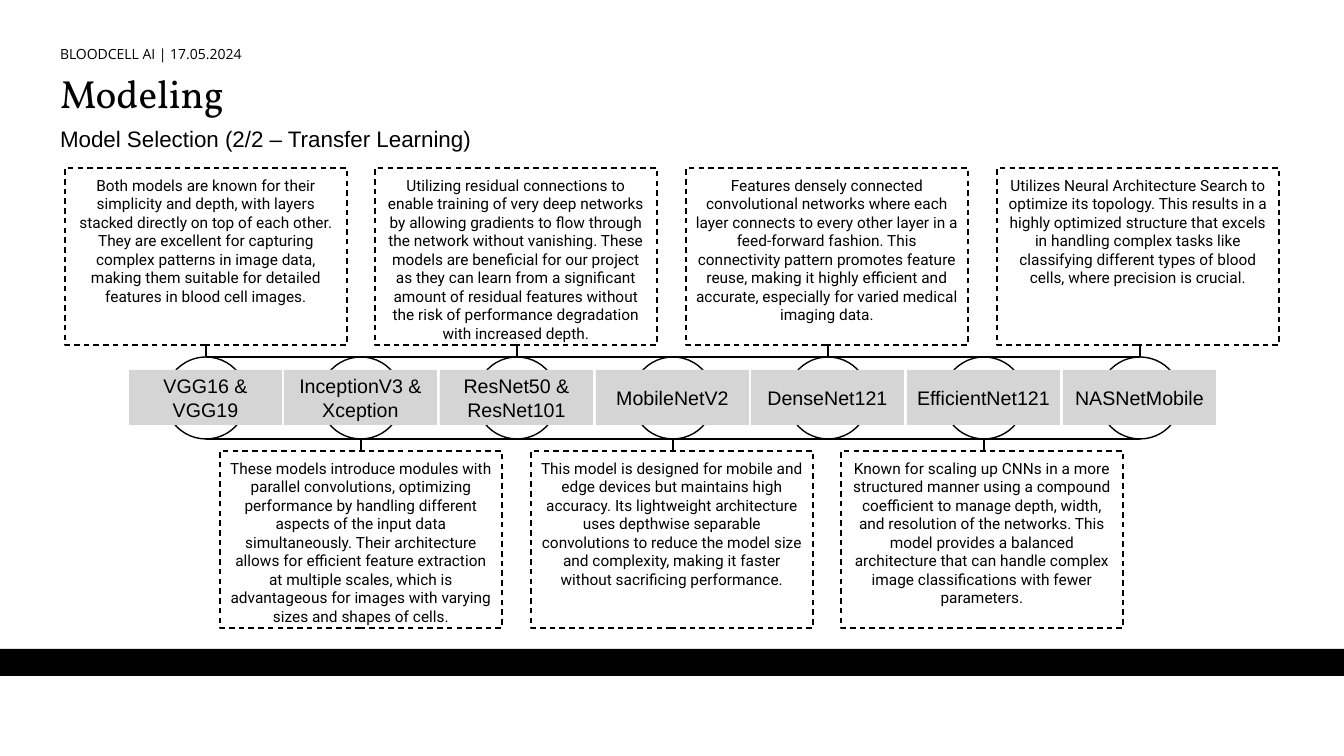
from lxml import etree
from pptx import Presentation
from pptx import util as u
from pptx.dml.color import RGBColor
from pptx.enum import dml, shapes, text
from pptx.oxml import ns

COLORS = {"ink": "000000", "label": "D5D5D5"}
FONTS = {"header": "Open Sans", "title": "Vollkorn", "label": "Arial", "note": "Roboto"}

MODELS = [
    ("VGG16 & VGG19",
     "Both models are known for their simplicity and depth, with layers stacked directly on top of each other. "
     "They are excellent for capturing complex patterns in image data, making them suitable for detailed "
     "features in blood cell images."),
    ("InceptionV3 & Xception",
     "These models introduce modules with parallel convolutions, optimizing performance by handling different "
     "aspects of the input data simultaneously. Their architecture allows for efficient feature extraction at "
     "multiple scales, which is advantageous for images with varying sizes and shapes of cells."),
    ("ResNet50 & ResNet101",
     "Utilizing residual connections to enable training of very deep networks by allowing gradients to flow "
     "through the network without vanishing. These models are beneficial for our project as they can learn from "
     "a significant amount of residual features without the risk of performance degradation with increased depth."),
    ("MobileNetV2",
     "This model is designed for mobile and edge devices but maintains high accuracy. Its lightweight "
     "architecture uses depthwise separable convolutions to reduce the model size and complexity, making it "
     "faster without sacrificing performance."),
    ("DenseNet121",
     "Features densely connected convolutional networks where each layer connects to every other layer in a "
     "feed-forward fashion. This connectivity pattern promotes feature reuse, making it highly efficient and "
     "accurate, especially for varied medical imaging data."),
    ("EfficientNet121",
     "Known for scaling up CNNs in a more structured manner using a compound coefficient to manage depth, "
     "width, and resolution of the networks. This model provides a balanced architecture that can handle "
     "complex image classifications with fewer parameters."),
    ("NASNetMobile",
     "Utilizes Neural Architecture Search to optimize its topology. This results in a highly optimized structure "
     "that excels in handling complex tasks like classifying different types of blood cells, where precision is "
     "crucial."),
]


def px(value):
    return u.Emu(round(value * 914400 / 100.8))


class SlideBuilder:
    def __init__(self, deck):
        self.page = deck.slides.add_slide(deck.slide_layouts[1])

    def add_words(self, shape, words, font, size, inset, anchor=text.MSO_ANCHOR.TOP,
                  align=text.PP_ALIGN.LEFT, spacing=None):
        frame = shape.text_frame
        frame.word_wrap = True
        frame.auto_size = text.MSO_AUTO_SIZE.NONE
        frame.vertical_anchor = anchor
        frame.margin_left = frame.margin_right = px(inset[0])
        frame.margin_top = frame.margin_bottom = px(inset[1])
        para = frame.paragraphs[0]
        para.alignment = align
        para.space_before = u.Pt(0)
        if spacing:
            para.line_spacing = spacing
        span = para.add_run()
        span.text = words
        span.font.name = FONTS[font]
        span.font.size = u.Pt(size)
        span.font.color.rgb = RGBColor.from_string(COLORS["ink"])

    def heading(self, index, top, height, words, font, size):
        shape = self.page.placeholders[index]
        shape.left, shape.top, shape.width, shape.height = map(px, (50, top, 1242, height))
        properties = shape.text_frame.paragraphs[0]._p.get_or_add_pPr()
        properties.set("marL", "0")
        properties.set("indent", "0")
        etree.SubElement(properties, ns.qn("a:buNone"))
        self.add_words(shape, words, font, size, (10, 0), text.MSO_ANCHOR.MIDDLE, spacing=0.8)

    def header(self, words):
        box = self.page.shapes.add_textbox(*map(px, (50, 40, 597, 24)))
        self.add_words(box, words, "header", 10, (10, 5))

    def shape(self, kind, left, top, width, height, fill=None, dash=None):
        shape = self.page.shapes.add_shape(kind, *map(px, (left, top, width, height)))
        shape.shadow.inherit = False
        if fill:
            shape.fill.solid()
            shape.fill.fore_color.rgb = RGBColor.from_string(COLORS[fill])
            shape.line.fill.background()
        else:
            shape.fill.background()
            self.stroke(shape.line)
            shape.line.dash_style = dash
        return shape

    def stroke(self, line):
        line.color.rgb = RGBColor.from_string(COLORS["ink"])
        line.width = u.Pt(1)

    def band(self, top, height):
        self.shape(shapes.MSO_SHAPE.RECTANGLE, 0, top, 1344, height, "ink")

    def circle(self, center, top, size):
        self.shape(shapes.MSO_SHAPE.OVAL, center - size // 2, top, size, size)

    def label(self, center, words):
        box = self.shape(shapes.MSO_SHAPE.RECTANGLE, center - 77, 370, 153, 55, "label")
        self.add_words(box, words, "label", 14, (8, 8), text.MSO_ANCHOR.MIDDLE, text.PP_ALIGN.CENTER)

    def note(self, left, top, words):
        box = self.shape(shapes.MSO_SHAPE.RECTANGLE, left, top, 282, 177,
                         dash=dml.MSO_LINE.DASH)
        self.add_words(box, words, "note", 11, (8, 8), align=text.PP_ALIGN.CENTER)

    def line(self, x1, y1, x2, y2):
        connector = self.page.shapes.add_connector(
            shapes.MSO_CONNECTOR.STRAIGHT, *map(px, (x1, y1, x2, y2)))
        self.stroke(connector.line)
        etree.SubElement(connector._element.spPr, ns.qn("a:effectLst"))


def main():
    deck = Presentation()
    deck.slide_width, deck.slide_height = px(1344), px(756)
    slide = SlideBuilder(deck)
    slide.band(649, 27)
    slide.header("BLOODCELL AI | 17.05.2024")
    slide.heading(0, 75, 44, "Modeling", "title", 28)
    slide.heading(1, 128, 27, "Model Selection (2/2 – Transfer Learning)", "label", 16)

    rail_top, rail_bottom, stem = 357, 439, 12
    centers = [206 + 934 * i // 6 for i in range(len(MODELS))]
    for center, (name, _) in zip(centers, MODELS):
        slide.circle(center, rail_top, rail_bottom - rail_top)
        slide.label(center, name)
    for rail in (rail_top, rail_bottom):
        slide.line(centers[0], rail, centers[-1], rail)
    for i, (center, (_, description)) in enumerate(zip(centers, MODELS)):
        above = i % 2 == 0
        rail = rail_top if above else rail_bottom
        end = rail - stem if above else rail + stem
        slide.line(center, rail, center, end)
        slide.note(65 + 932 * i // 6, end - 177 if above else end, description)
    deck.save("out.pptx")


if __name__ == "__main__":
    main()
